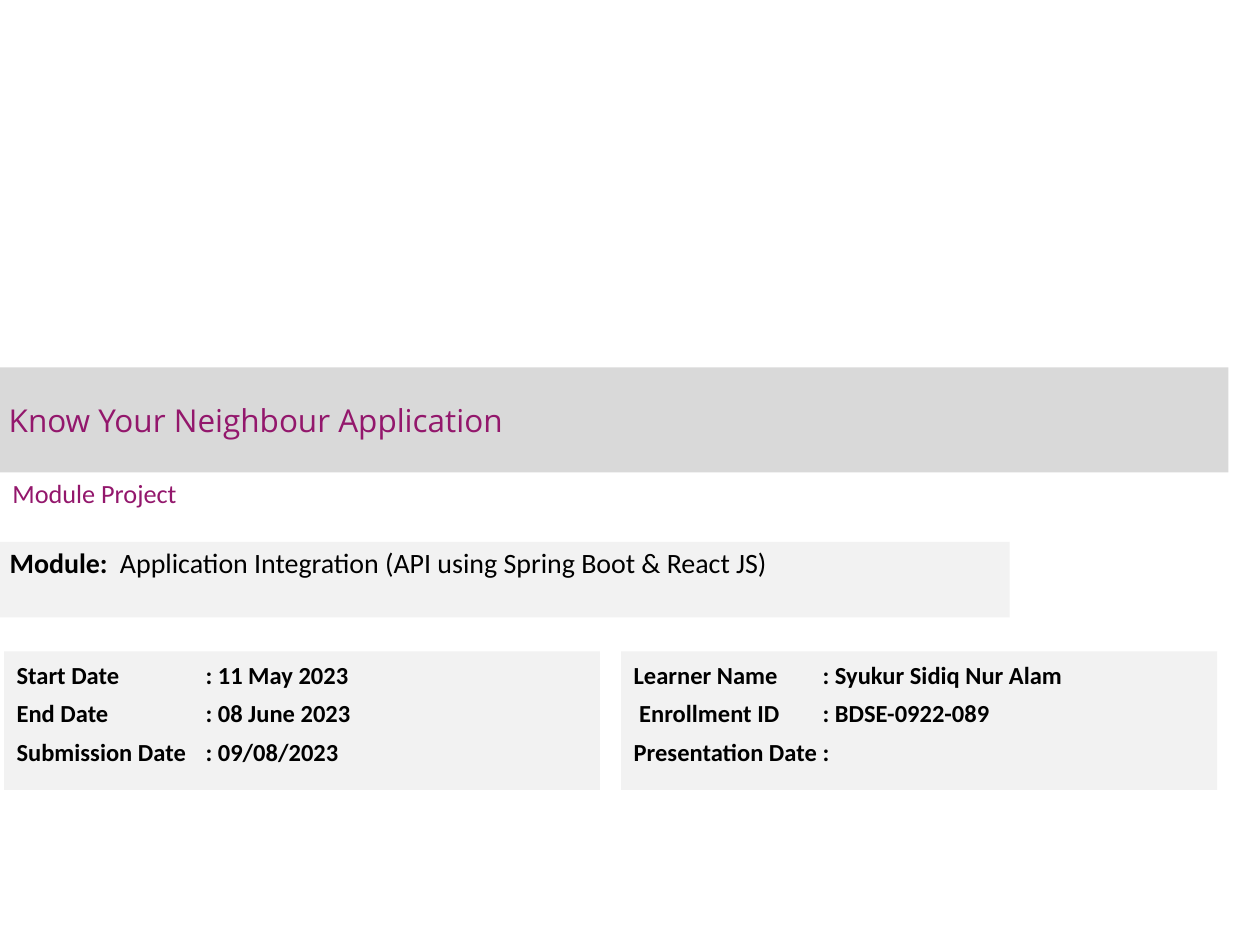
import dataclasses

import pptx
import pptx.dml.color
import pptx.enum.shapes
import pptx.enum.text
import pptx.util
import lxml.etree

Pt = pptx.util.Pt
RGB = pptx.dml.color.RGBColor.from_string
ANCHOR = pptx.enum.text.MSO_ANCHOR


@dataclasses.dataclass(frozen=True)
class Theme:
    accent: str = "93176C"
    ink: str = "000000"
    band: str = "D9D9D9"
    panel: str = "F2F2F2"
    body_font: str = "Calibri"
    title_font: str = "Open Sans"
    title: float = 18
    subtitle: float = 15
    module: float = 16
    detail: float = 14


def add_text(p, text, *, font, size, color, bold=False):
    r = p.add_run()
    r.text = text
    r.font.name = font
    r.font.size = Pt(size)
    r.font.bold = bold
    r.font.color.rgb = RGB(color)


def set_tab_stop(p, pos):
    pPr = p._p.get_or_add_pPr()
    ns = pptx.oxml.ns.qn
    tabs = lxml.etree.SubElement(pPr, ns("a:tabLst"))
    lxml.etree.SubElement(tabs, ns("a:tab"), pos=str(Pt(pos)), algn="l")


class SlideBuilder:
    def __init__(self, slide, theme):
        self.slide = slide
        self.theme = theme

    def frame(self, sp, anchor, inset):
        tf = sp.text_frame
        tf.word_wrap = True
        tf.vertical_anchor = anchor
        tf.margin_left = tf.margin_right = Pt(inset[0])
        tf.margin_top = tf.margin_bottom = Pt(inset[1])
        return tf

    def panel(self, box, fill, anchor=ANCHOR.TOP, inset=(7.2, 3.6)):
        kind = pptx.enum.shapes.MSO_SHAPE.RECTANGLE
        sp = self.slide.shapes.add_shape(kind, *map(Pt, box))
        sp.shadow.inherit = False
        sp.fill.solid()
        sp.fill.fore_color.rgb = RGB(fill)
        sp.line.fill.background()
        return self.frame(sp, anchor, inset)

    def label(self, box, text, **fmt):
        sp = self.slide.shapes.add_textbox(*map(Pt, box))
        tf = self.frame(sp, ANCHOR.MIDDLE, (7.2, 3.6))
        add_text(tf.paragraphs[0], text, **fmt)

    def title_band(self, box, text):
        t = self.theme
        p = self.panel(box, t.band, ANCHOR.MIDDLE, (5, 3)).paragraphs[0]
        p.alignment = pptx.enum.text.PP_ALIGN.LEFT
        add_text(p, text, font=t.title_font, size=t.title, color=t.accent)

    def field_panel(self, box, rows, size, tab, bold_value):
        t = self.theme
        tf = self.panel(box, t.panel)
        for i, (name, value) in enumerate(rows):
            p = tf.add_paragraph() if i else tf.paragraphs[0]
            p.alignment = pptx.enum.text.PP_ALIGN.LEFT
            p.line_spacing = Pt(18)
            p.space_before = p.space_after = Pt(2)
            set_tab_stop(p, tab)
            fmt = dict(font=t.body_font, size=size, color=t.ink)
            add_text(p, name + "\t", bold=True, **fmt)
            add_text(p, value, bold=bold_value, **fmt)


def main():
    prs = pptx.Presentation()
    prs.slide_width, prs.slide_height = Pt(720), Pt(540)
    theme = Theme()
    s = SlideBuilder(prs.slides.add_slide(prs.slide_layouts[6]), theme)

    s.title_band((0, 210, 702, 60), "Know Your Neighbour Application")
    s.label((0, 259.5, 462, 44.5), "Module Project",
            font=theme.body_font, size=theme.subtitle, color=theme.accent)
    s.field_panel(
        (-1.5, 309.6, 578.5, 43.2),
        [("Module:", "Application Integration (API using Spring Boot & React JS)")],
        theme.module, 63, False)

    details = [
        [("Start Date", ": 11 May 2023"),
         ("End Date", ": 08 June 2023"),
         ("Submission Date", ": 09/08/2023")],
        [("Learner Name", ": Syukur Sidiq Nur Alam"),
         (" Enrollment ID", ": BDSE-0922-089"),
         ("Presentation Date", ":")],
    ]
    for col, rows in enumerate(details):
        s.field_panel((2.4 + col * 352.6, 372.2, 340.5, 79.2),
                      rows, theme.detail, 108, True)

    prs.save("out.pptx")


if __name__ == "__main__":
    main()
